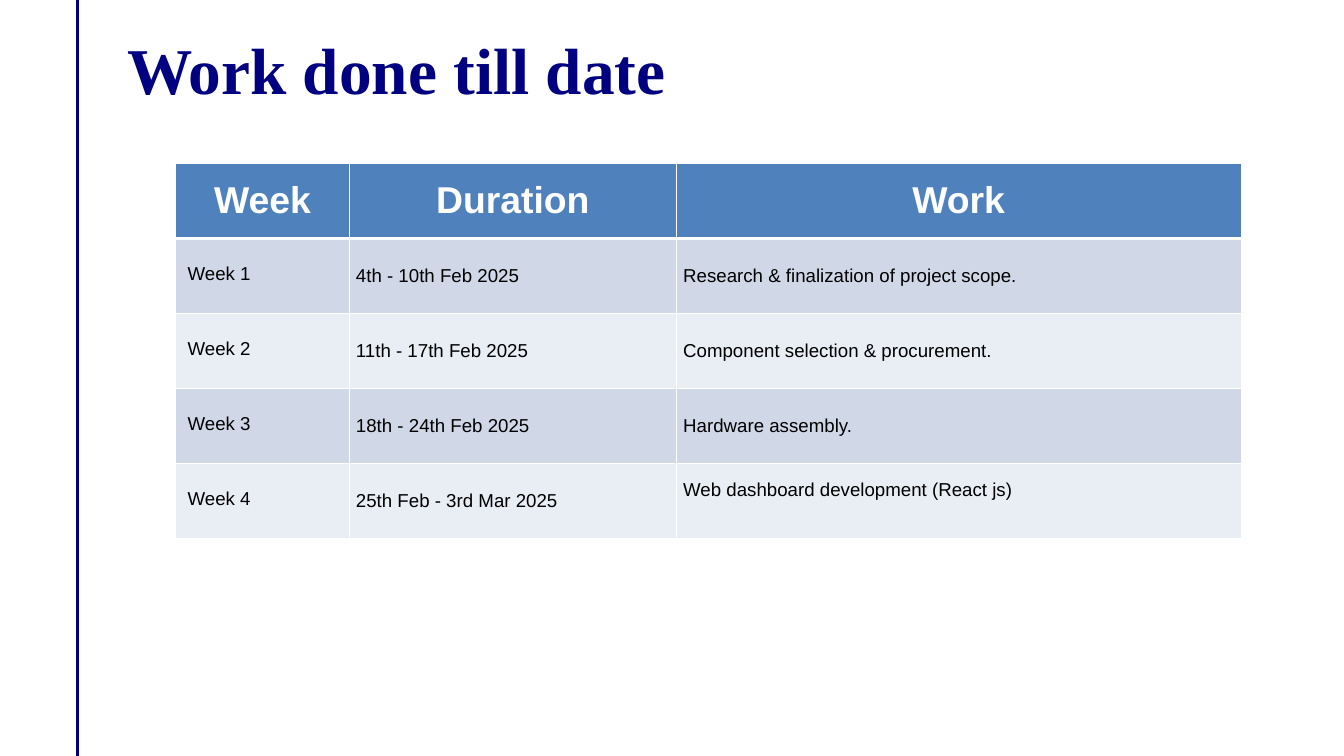
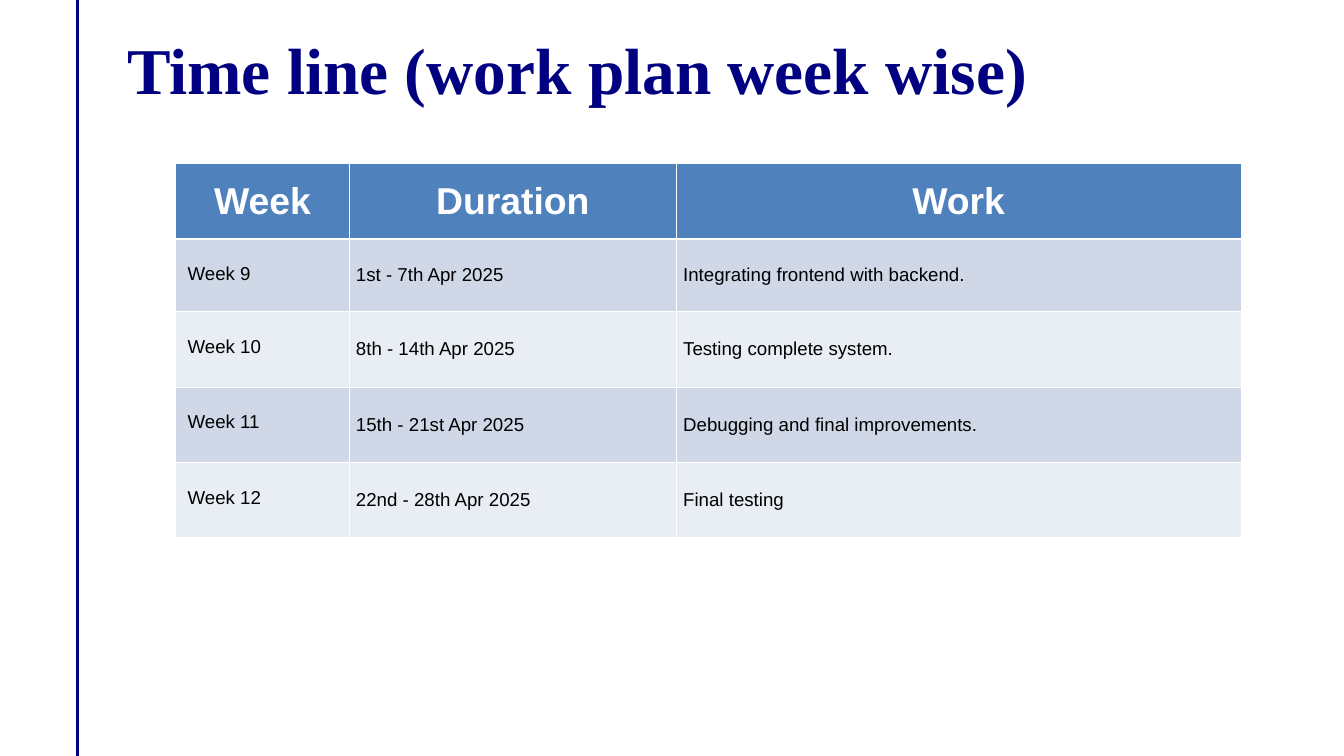
from lxml import etree
from pptx import Presentation
from pptx.dml.color import RGBColor
from pptx.enum.shapes import MSO_CONNECTOR
from pptx.enum.text import MSO_ANCHOR, PP_ALIGN
from pptx.oxml.ns import qn
from pptx.util import Pt

STRAIGHT = MSO_CONNECTOR.STRAIGHT
TOP, MIDDLE = MSO_ANCHOR.TOP, MSO_ANCHOR.MIDDLE
LEFT, CENTER = PP_ALIGN.LEFT, PP_ALIGN.CENTER

# Content
HEADINGS = ("Week", "Duration", "Work")
SCHEDULES = [
    {
        "title": "Work done till date",
        "weeks": [
            ("Week 1", "4th - 10th Feb 2025", "Research & finalization of project scope."),
            ("Week 2", "11th - 17th Feb 2025", "Component selection & procurement."),
            ("Week 3", "18th - 24th Feb 2025", "Hardware assembly."),
            ("Week 4", "25th Feb - 3rd Mar 2025", "Web dashboard development (React js)"),
        ],
        "row_height": 80.4,
        "first_week_height": 80.4,
        "raised": (4, 2),
    },
    {
        "title": "Time line (work plan week wise)",
        "weeks": [
            ("Week 9", "1st - 7th Apr 2025", "Integrating frontend with backend."),
            ("Week 10", "8th - 14th Apr 2025", "Testing complete system."),
            ("Week 11", "15th - 21st Apr 2025", "Debugging and final improvements."),
            ("Week 12", "22nd - 28th Apr 2025", "Final testing"),
        ],
        "row_height": 80.8,
        "first_week_height": 77.8,
        "raised": None,
    },
]

# Shared look
COLORS = {"navy": "010080", "header": "4F81BD", "odd": "D0D8E8",
          "even": "E9EDF4", "white": "FFFFFF", "black": "000000"}
FONTS = {
    "title": {"name": "Times New Roman", "size": Pt(70), "bold": True, "color": "navy"},
    "heading": {"name": "Arial", "size": Pt(40), "bold": True, "color": "white"},
    "entry": {"name": "Arial", "size": Pt(20), "bold": False, "color": "black"},
}
SLIDE_W, SLIDE_H = 1440, 810
MARGIN_LINE_X = 82.8
TITLE_BOX = (135.4, 30.2, 1111.7, 85.7)
FRAME_BOX = (144.7, 130.3, 1185.1, 469.4)
TABLE_LEFT, TABLE_TOP = 188.2, 175.2
COLUMN_WIDTHS = (186, 350.6, 604.8)
LINE_OFFSET = 26.6  # cell margin plus one line of entry text


def rgb(name):
    return RGBColor.from_string(COLORS[name])


def apply_font(paragraph, style):
    for attribute, value in FONTS[style].items():
        if attribute == "color":
            paragraph.font.color.rgb = rgb(value)
        else:
            setattr(paragraph.font, attribute, value)


def add_margin_line(slide):
    line = slide.shapes.add_connector(
        STRAIGHT, Pt(MARGIN_LINE_X), Pt(0), Pt(MARGIN_LINE_X), Pt(SLIDE_H))
    line.line.color.rgb = rgb("navy")
    line.line.width = Pt(3.75)
    etree.SubElement(line._element.spPr, qn("a:effectLst"))


def add_title(slide, title):
    frame = slide.shapes.add_textbox(*map(Pt, TITLE_BOX)).text_frame
    settings = {"word_wrap": True, "vertical_anchor": TOP, "margin_left": Pt(0.75),
                "margin_right": 0, "margin_top": Pt(1), "margin_bottom": 0}
    for attribute, value in settings.items():
        setattr(frame, attribute, value)
    frame.text = title
    apply_font(frame.paragraphs[0], "title")


def add_table_frame(slide):
    table = slide.shapes.add_table(1, 1, *map(Pt, FRAME_BOX)).table
    table.first_row = table.horz_banding = False
    table.cell(0, 0).fill.background()


def add_borders(cell, row):
    widths = {"L": 1, "R": 1, "T": 3 if row == 1 else 1, "B": 3 if row == 0 else 1}
    properties = cell._tc.get_or_add_tcPr()
    for side, width in widths.items():
        border = etree.SubElement(properties, qn(f"a:ln{side}"), w=str(Pt(width)))
        fill = etree.SubElement(border, qn("a:solidFill"))
        etree.SubElement(fill, qn("a:srgbClr"), val=COLORS["white"])


def cell_format(row, column, raised):
    if row and column == 0:
        return {"vertical_anchor": TOP, "margin_left": Pt(12.8),
                "margin_top": Pt(LINE_OFFSET)}
    if (row, column) == raised:
        return {"vertical_anchor": MIDDLE, "margin_bottom": Pt(LINE_OFFSET)}
    return {"vertical_anchor": MIDDLE}


def add_schedule(slide, schedule):
    rows = [HEADINGS, *schedule["weeks"]]
    heights = [schedule["row_height"]] * len(rows)
    heights[1] = schedule["first_week_height"]
    table = slide.shapes.add_table(
        len(rows), len(HEADINGS), Pt(TABLE_LEFT), Pt(TABLE_TOP),
        Pt(sum(COLUMN_WIDTHS)), Pt(sum(heights))).table
    table.horz_banding = False
    for column, width in zip(table.columns, COLUMN_WIDTHS):
        column.width = Pt(width)
    for r, (texts, height) in enumerate(zip(rows, heights)):
        table.rows[r].height = Pt(height)
        band = "header" if r == 0 else ("odd" if r % 2 else "even")
        for c, text in enumerate(texts):
            cell = table.cell(r, c)
            for attribute, value in cell_format(r, c, schedule["raised"]).items():
                setattr(cell, attribute, value)
            add_borders(cell, r)
            cell.fill.solid()
            cell.fill.fore_color.rgb = rgb(band)
            cell.text = text
            paragraph = cell.text_frame.paragraphs[0]
            paragraph.alignment = LEFT if r else CENTER
            apply_font(paragraph, "entry" if r else "heading")


def main():
    deck = Presentation()
    deck.slide_width, deck.slide_height = Pt(SLIDE_W), Pt(SLIDE_H)
    blank = deck.slide_layouts[6]
    for schedule in SCHEDULES:
        slide = deck.slides.add_slide(blank)
        add_margin_line(slide)
        add_title(slide, schedule["title"])
        add_table_frame(slide)
        add_schedule(slide, schedule)
    deck.save("out.pptx")


if __name__ == "__main__":
    main()
